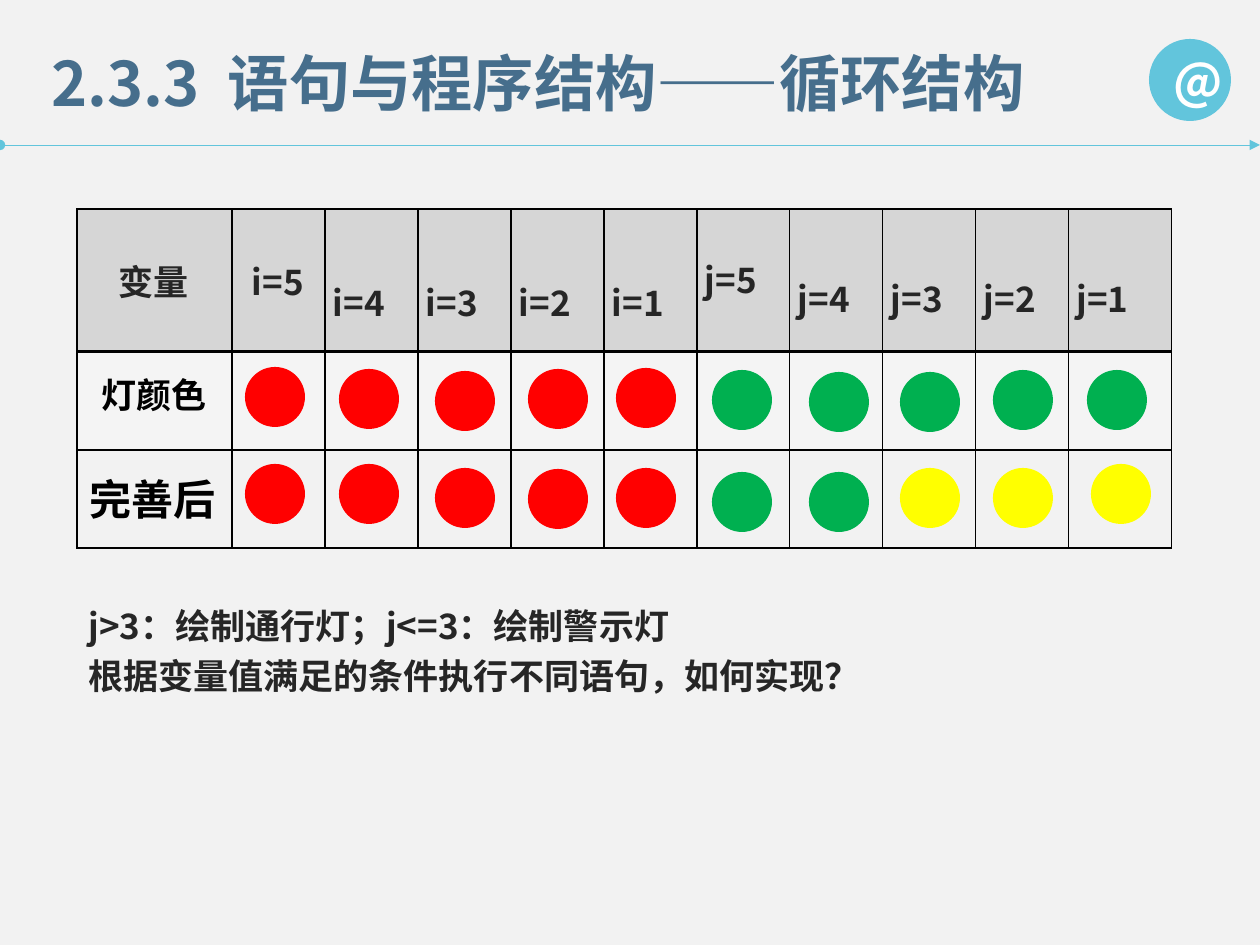
from lxml import etree
from pptx import Presentation
from pptx.dml.color import RGBColor
from pptx.enum.shapes import MSO_CONNECTOR, MSO_SHAPE
from pptx.enum.text import MSO_ANCHOR, MSO_AUTO_SIZE, PP_ALIGN
from pptx.oxml.ns import qn
from pptx.util import Pt

PX = 914400 // 126
HEADING_FONT = "Noto Sans CJK SC"
BODY_FONT = "Calibri"

BACKGROUND = RGBColor(0xF2, 0xF2, 0xF2)
ACCENT = RGBColor(0x62, 0xC5, 0xDC)
TITLE = RGBColor(0x46, 0x6E, 0x8C)
DARK = RGBColor(0x26, 0x26, 0x26)
BLACK = RGBColor(0, 0, 0)
WHITE = RGBColor(0xFF, 0xFF, 0xFF)
GREY = RGBColor(0x66, 0x66, 0x66)
RED = RGBColor(0xFF, 0, 0)
GREEN = RGBColor(0, 0xB0, 0x50)
YELLOW = RGBColor(0xFF, 0xFF, 0)


def add_run(paragraph, text, size, color, font=HEADING_FONT):
    run = paragraph.add_run()
    run.text = text
    run.font.size = Pt(size)
    run.font.bold = True
    run.font.name = font
    run.font.color.rgb = color
    properties = run.font._element
    etree.SubElement(properties, qn("a:ea"), typeface=font)
    return properties


def add_circle(left, top, diameter, color):
    circle = slide.shapes.add_shape(
        MSO_SHAPE.OVAL, left * PX, top * PX, diameter * PX, diameter * PX)
    circle.shadow.inherit = False
    circle.fill.solid()
    circle.fill.fore_color.rgb = color
    circle.line.fill.background()
    return circle


presentation = Presentation()
presentation.slide_width = 1260 * PX
presentation.slide_height = 945 * PX
slide = presentation.slides.add_slide(presentation.slide_layouts[5])
slide.background.fill.solid()
slide.background.fill.fore_color.rgb = BACKGROUND

# Header rule with a round tail and an arrowhead
rule = slide.shapes.add_connector(
    MSO_CONNECTOR.STRAIGHT, 0, 145 * PX, 1260 * PX, 145 * PX)
rule.line.color.rgb = ACCENT
rule.line.width = Pt(0.5)
line = rule.line._get_or_add_ln()
etree.SubElement(line, qn("a:headEnd"), type="oval")
etree.SubElement(line, qn("a:tailEnd"), type="triangle")
etree.SubElement(rule._element.spPr, qn("a:effectLst"))

# Header badge
badge = add_circle(1149, 39, 82, ACCENT)
badge.text_frame.vertical_anchor = MSO_ANCHOR.MIDDLE
paragraph = badge.text_frame.paragraphs[0]
paragraph.alignment = PP_ALIGN.CENTER
add_run(paragraph, "@", 28, WHITE)

# Title
title = slide.shapes.title
title.left, title.top, title.width, title.height = (
    value * PX for value in (39, 38, 1053, 87))
title.text_frame.auto_size = MSO_AUTO_SIZE.NONE
title.text_frame.vertical_anchor = MSO_ANCHOR.MIDDLE
paragraph = title.text_frame.paragraphs[0]
paragraph.alignment = PP_ALIGN.LEFT
add_run(paragraph, "2.3.3", 35, TITLE)
add_run(paragraph, " ", 35, TITLE).set("spc", "800")
add_run(paragraph, "语句与程序结构——循环结构", 35, TITLE)

# Table of loop variables
column_widths = [155] + [93] * 9 + [103]
row_heights = [143, 98, 98]
table = slide.shapes.add_table(
    3, 11, 77 * PX, 209 * PX, sum(column_widths) * PX, sum(row_heights) * PX).table
table.first_row = False
table.horz_banding = False
for column, width in zip(table.columns, column_widths):
    column.width = width * PX
for row, height in zip(table.rows, row_heights):
    row.height = height * PX

# Cell borders and fills
for row_index, row in enumerate(table.rows):
    for cell in row.cells:
        cell_properties = cell._tc.get_or_add_tcPr()
        for side in "LRTB":
            heavy = (row_index, side) in ((0, "B"), (1, "T"))
            border = etree.SubElement(
                cell_properties, qn("a:ln" + side), w=str(Pt(2 if heavy else 1)))
            border_fill = etree.SubElement(border, qn("a:solidFill"))
            etree.SubElement(border_fill, qn("a:srgbClr"), val=str(BLACK))
        if row_index == 2:
            cell.fill.background()
            continue
        cell.fill.solid()
        cell.fill.fore_color.rgb = GREY if row_index == 0 else WHITE
        fill_color = cell_properties.find(qn("a:solidFill")).find(qn("a:srgbClr"))
        etree.SubElement(fill_color, qn("a:alpha"), val="20000")

# Header texts: label, top margin, bottom margin
headers = [("变量", 4, 5), ("i=5", 4, 5)]
headers += [(f"i={value}", 42, 0) for value in (4, 3, 2, 1)]
headers += [("j=5", 0, 5)]
headers += [(f"j={value}", 38, 5) for value in (4, 3, 2, 1)]
for column_index, (label, margin_top, margin_bottom) in enumerate(headers):
    cell = table.cell(0, column_index)
    cell.vertical_anchor = MSO_ANCHOR.MIDDLE
    cell.margin_left, cell.margin_right = 8 * PX, 9 * PX
    cell.margin_top, cell.margin_bottom = margin_top * PX, margin_bottom * PX
    paragraph = cell.text_frame.paragraphs[0]
    paragraph.alignment = PP_ALIGN.CENTER if column_index < 2 else PP_ALIGN.LEFT
    add_run(paragraph, label, 20, DARK)

color_cell = table.cell(1, 0)
color_cell.margin_left = color_cell.margin_right = 9 * PX
color_cell.margin_top, color_cell.margin_bottom = 23 * PX, 4 * PX
paragraph = color_cell.text_frame.paragraphs[0]
paragraph.alignment = PP_ALIGN.CENTER
add_run(paragraph, "灯颜色", 20, BLACK, BODY_FONT)

# Lamps: hand-placed in each column
lamp_lefts = [245, 339, 435, 528, 616, 712, 809, 900, 993]
lamp_rows = [
    (lamp_lefts + [1087],
     [367, 369, 371, 369, 368, 370, 372, 372, 370, 370],
     [RED] * 5 + [GREEN] * 5),
    (lamp_lefts + [1091],
     [464, 464, 468, 469, 468, 472, 472, 468, 468, 464],
     [RED] * 5 + [GREEN] * 2 + [YELLOW] * 3),
]
for lefts, tops, colors in lamp_rows:
    for left, top, color in zip(lefts, tops, colors):
        add_circle(left, top, 60, color)

# Label of the last row
label_box = slide.shapes.add_textbox(76 * PX, 467 * PX, 154 * PX, 63 * PX)
label_box.text_frame.word_wrap = False
label_box.text_frame.auto_size = MSO_AUTO_SIZE.SHAPE_TO_FIT_TEXT
paragraph = label_box.text_frame.paragraphs[0]
paragraph.alignment = PP_ALIGN.CENTER
add_run(paragraph, "完善后", 24, BLACK, BODY_FONT)

# Question below the table
question_box = slide.shapes.add_textbox(76 * PX, 590 * PX, 805 * PX, 115 * PX)
question_frame = question_box.text_frame
question_frame.word_wrap = True
question_frame.auto_size = MSO_AUTO_SIZE.SHAPE_TO_FIT_TEXT
question_lines = ["j>3：绘制通行灯；j<=3：绘制警示灯",
                  "根据变量值满足的条件执行不同语句，如何实现？"]
for index, text in enumerate(question_lines):
    paragraph = question_frame.add_paragraph() if index else question_frame.paragraphs[0]
    paragraph.line_spacing = 1.2
    add_run(paragraph, text, 20, DARK)

presentation.save("out.pptx")
